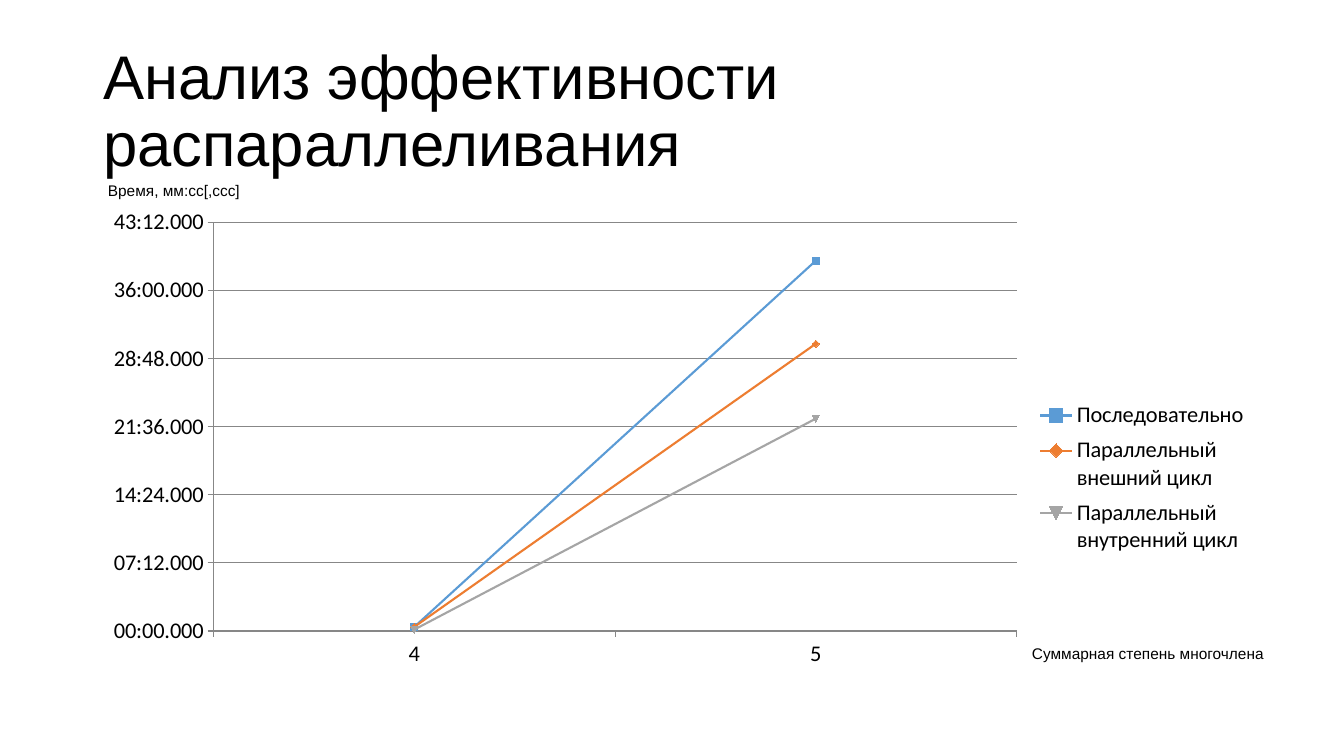
from lxml import etree
from pptx import Presentation
from pptx.chart.data import CategoryChartData
from pptx.dml.color import RGBColor
from pptx.enum.chart import XL_CHART_TYPE, XL_LEGEND_POSITION, XL_TICK_MARK
from pptx.enum.text import MSO_ANCHOR
from pptx.oxml.ns import qn
from pptx.util import Emu, Pt

PX = 914400 / 100.8
BLACK = RGBColor(0x00, 0x00, 0x00)
GRID_GRAY = RGBColor(0x87, 0x87, 0x87)
BLUE = RGBColor(0x5B, 0x9B, 0xD5)
ORANGE = RGBColor(0xED, 0x7D, 0x31)
GRAY = RGBColor(0xA5, 0xA5, 0xA5)

DEGREES = ["4", "5"]
TIMINGS = [
    ("Последовательно", (0.0003, 0.0272), BLUE),
    ("Параллельный внешний цикл", (0.0003, 0.0211), ORANGE),
    ("Параллельный внутренний цикл", (0.0001, 0.0156), GRAY),
]


def box(*pixels):
    return [Emu(round(value * PX)) for value in pixels]


def style_font(font, size, name="Arial"):
    font.size = Pt(size)
    font.name = name
    font.color.rgb = BLACK


def set_title(slide, text):
    title = slide.shapes.title
    title.left, title.top, title.width, title.height = box(93, 40, 1159, 146)
    frame = title.text_frame
    frame.word_wrap = True
    frame.vertical_anchor = MSO_ANCHOR.MIDDLE
    paragraph = frame.paragraphs[0]
    paragraph.line_spacing = 0.9
    run = paragraph.add_run()
    run.text = text
    style_font(run.font, 44)
    title_style = paragraph.alignment = 1
    return title_style


def add_axis_caption(slide, text, *pixels):
    frame = slide.shapes.add_textbox(*box(*pixels)).text_frame
    frame.word_wrap = True
    run = frame.paragraphs[0].add_run()
    run.text = text
    style_font(run.font, 11)


def set_layout(parent, anchor, x, y, w, h, inner=False):
    for old in parent.findall(qn("c:layout")):
        parent.remove(old)
    layout = etree.Element(qn("c:layout"))
    manual = etree.SubElement(layout, qn("c:manualLayout"))
    settings = [("layoutTarget", "inner")] if inner else []
    settings += [("xMode", "edge"), ("yMode", "edge")]
    settings += [("x", x), ("y", y), ("w", w), ("h", h)]
    for tag, value in settings:
        etree.SubElement(manual, qn("c:" + tag)).set("val", str(value))
    if anchor is None:
        parent.insert(0, layout)
    else:
        anchor.addnext(layout)


def style_axis(axis):
    axis.major_tick_mark = XL_TICK_MARK.OUTSIDE
    axis.minor_tick_mark = XL_TICK_MARK.NONE
    style_font(axis.tick_labels.font, 16, "Calibri")
    axis.format.line.color.rgb = GRID_GRAY
    axis.format.line.width = Pt(0.75)


def style_series(series, color):
    series.smooth = False
    series.format.line.color.rgb = color
    series.format.line.width = Pt(1.5)
    series.marker.size = 5
    series.marker.format.fill.solid()
    series.marker.format.fill.fore_color.rgb = color
    series.marker.format.line.color.rgb = color


def add_timing_chart(slide):
    data = CategoryChartData()
    data.categories = DEGREES
    for name, values, _ in TIMINGS:
        data.add_series(name, values)
    chart = slide.shapes.add_chart(
        XL_CHART_TYPE.LINE_MARKERS, *box(93, 202, 1159, 480), data).chart
    style_font(chart.font, 10, "Calibri")
    chart.has_title = False
    chart.plots[0].vary_by_categories = False

    style_axis(chart.category_axis)
    times = chart.value_axis
    style_axis(times)
    times.minimum_scale, times.maximum_scale, times.major_unit = 0, 0.03, 0.005
    times.tick_labels.number_format = "mm:ss.000"
    times.tick_labels.number_format_is_linked = False
    times.has_major_gridlines = True
    times.major_gridlines.format.line.color.rgb = GRID_GRAY
    times.major_gridlines.format.line.width = Pt(0.75)

    for series, (_, _, color) in zip(chart.plots[0].series, TIMINGS):
        style_series(series, color)

    chart.has_legend = True
    legend = chart.legend
    legend.position = XL_LEGEND_POSITION.RIGHT
    legend.include_in_layout = False
    style_font(legend.font, 16, "Calibri")
    legend_xml = legend._element
    set_layout(legend_xml, legend_xml.find(qn("c:legendPos")), 0.81, 0.4, 0.19, 0.35)
    plot_area = chart._chartSpace.chart.plotArea
    set_layout(plot_area, None, 0.104, 0.043, 0.693, 0.851, inner=True)


def main():
    presentation = Presentation()
    presentation.slide_width, presentation.slide_height = box(1344, 756)
    slide = presentation.slides.add_slide(presentation.slide_layouts[5])
    set_title(slide, "Анализ эффективности распараллеливания")
    add_timing_chart(slide)
    add_axis_caption(slide, "Суммарная степень многочлена", 1022, 639, 255, 35)
    add_axis_caption(slide, "Время, мм:сс[,ccc]", 98, 176, 153, 29)
    presentation.save("out.pptx")


main()
